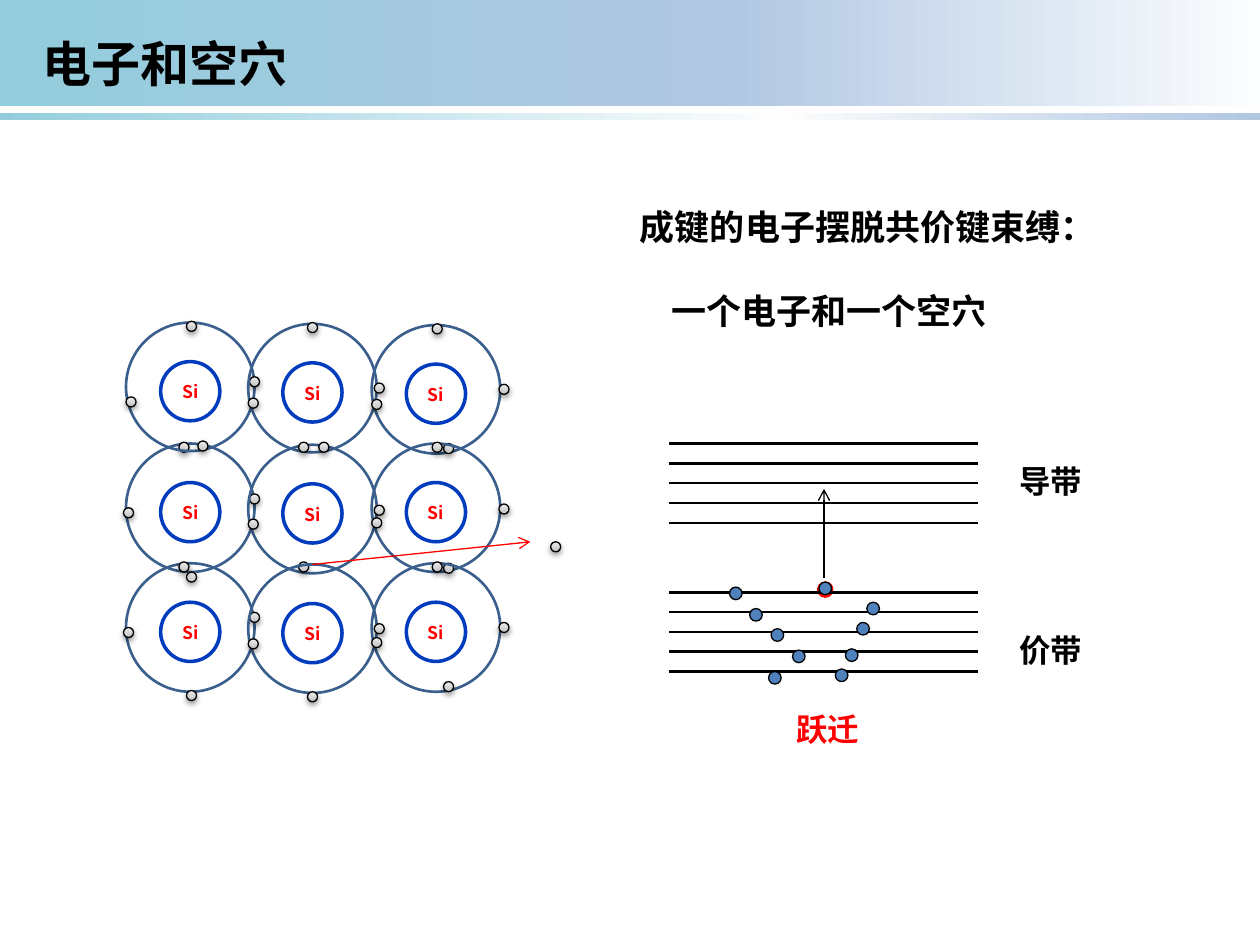
from lxml import etree
from pptx import Presentation
from pptx.dml.color import RGBColor
from pptx.enum.shapes import MSO_CONNECTOR, MSO_SHAPE
from pptx.enum.text import MSO_ANCHOR, PP_ALIGN
from pptx.oxml import parse_xml
from pptx.oxml.ns import qn
from pptx.util import Inches, Pt

RECT, OVAL, DOT = MSO_SHAPE.RECTANGLE, MSO_SHAPE.OVAL, MSO_SHAPE.FLOWCHART_CONNECTOR
STRAIGHT = MSO_CONNECTOR.STRAIGHT
LEFT, CENTER = PP_ALIGN.LEFT, PP_ALIGN.CENTER
TOP, MIDDLE = MSO_ANCHOR.TOP, MSO_ANCHOR.MIDDLE
NS = "http://schemas.openxmlformats.org/drawingml/2006/main"

THEME = {
    "font": "Noto Sans CJK SC", "leading": 1.27,
    "title": 28, "statement": 20, "label": 18, "atom": 10,
    "black": "000000", "white": "FFFFFF", "red": "FF0000",
    "orbit": "3A5F8C", "nucleus": "013CBF", "carrier": "4F81BD",
    "rule": [(0, "93CDDD"), (62, "FCFDFE"), (100, "B0C6E1")],
    "banner": [(0, "93CDDD"), (57, "B0C6E1"), (100, "FCFDFE")],
    "electron": [(0, "BDBDBD"), (35, "D1D1D1"), (100, "EEEEEE")],
}

TEXTS = [
    ((0.24, 0.19, 2.17, 0.57), ["电子和空穴"], "title", "black"),
    ((4.98, 1.56, 3.85, 1.11), ["成键的电子摆脱共价键束缚：", "一个电子和一个空穴"],
     "statement", "black"),
    ((7.99, 4.94, 0.71, 0.4), ["价带"], "label", "black"),
    ((7.99, 3.6, 0.71, 0.4), ["导带"], "label", "black"),
    ((6.22, 5.57, 0.71, 0.4), ["跃迁"], "label", "red"),
]

ATOM = "Si"
ORBIT_SIZE, NUCLEUS_SIZE, ELECTRON_SIZE = 1.02, 0.47, 0.08
NUCLEUS_DROP = 0.31
ATOMS = [
    ((1, 3.52), [(1.42, 3.51), (1.48, 4.54), (1.98, 3.92), (0.98, 4.03)]),
    ((1.97, 3.53), [(2.37, 4.46), (4.37, 4.3), (2.97, 4.01), (1.97, 4.12)]),
    ((1, 2.56), [(1.48, 2.55), (1.57, 3.5), (1.98, 2.99), (1, 3.15)]),
    ((1.97, 2.57), [(2.44, 2.56), (2.53, 3.51), (2.97, 3.04), (1.97, 3.16)]),
    ((2.95, 2.58), [(3.43, 2.57), (3.52, 3.52), (3.96, 3.05), (2.95, 3.17)]),
    ((2.95, 3.52), [(3.43, 3.51), (3.52, 4.47), (3.96, 4), (2.95, 4.11)]),
    ((1, 4.47), [(1.42, 4.46), (1.48, 5.48), (1.98, 4.86), (0.98, 4.98)]),
    ((1.97, 4.48), [(2.37, 3.51), (2.44, 5.49), (2.97, 4.95), (1.97, 5.07)]),
    ((2.95, 4.47), [(3.43, 4.46), (3.52, 5.41), (3.96, 4.94), (2.95, 5.06)]),
]

LEVEL_LEFT, LEVEL_RIGHT, LEVEL_COUNT = 5.31, 7.76, 5
BANDS = [(3.52, 4.15), (4.7, 5.33)]
CARRIER_SIZE = 0.1
HOLE = (6.5, 4.63)
CARRIERS = [(5.79, 4.66), (5.95, 4.83), (6.12, 4.99), (6.29, 5.16), (6.1, 5.33),
            (6.63, 5.31), (6.71, 5.15), (6.8, 4.94), (6.88, 4.78), (6.5, 4.62)]
ESCAPE = ((2.48, 4.48), (4.21, 4.3))
TRANSITION = ((6.54, 4.59), (6.54, 3.88))


def rgb(value):
    """Turn a hex string into a colour."""
    return RGBColor.from_string(value)


def add_figure(shapes, kind, box, fill=None, line=None, weight=0.75):
    """Add a preset shape without shadow."""
    figure = shapes.add_shape(kind, *map(Inches, box))
    figure.shadow.inherit = False
    if fill:
        figure.fill.solid()
        figure.fill.fore_color.rgb = rgb(fill)
    else:
        figure.fill.background()
    if line:
        figure.line.color.rgb = rgb(line)
        figure.line.width = Pt(weight)
    else:
        figure.line.fill.background()
    return figure


def set_gradient(figure, stops, angle=0):
    """Give a shape a linear gradient of any number of stops."""
    figure.fill.gradient()
    gradient = figure.element.spPr.find(qn("a:gradFill"))
    for part in list(gradient):
        gradient.remove(part)
    stop_list = etree.SubElement(gradient, qn("a:gsLst"))
    for position, color in stops:
        stop = etree.SubElement(stop_list, qn("a:gs"), pos=str(position * 1000))
        etree.SubElement(stop, qn("a:srgbClr"), val=color)
    etree.SubElement(gradient, qn("a:lin"), ang=str(angle * 60000), scaled="0")


def write(frame, lines, size, color, align=LEFT, anchor=TOP):
    """Write bold paragraphs, later ones set apart and indented."""
    frame.word_wrap = True
    frame.vertical_anchor = anchor
    for index, line in enumerate(lines):
        paragraph = frame.add_paragraph() if index else frame.paragraphs[0]
        paragraph.alignment = align
        paragraph.line_spacing = Pt(THEME[size] * THEME["leading"])
        if index:
            paragraph.space_before = Pt(22.5)
            paragraph._p.get_or_add_pPr().set("marL", str(Inches(0.25)))
        run = paragraph.add_run()
        run.text = line
        run.font.size = Pt(THEME[size])
        run.font.bold = True
        run.font.name = THEME["font"]
        run.font.color.rgb = rgb(THEME[color])
        etree.SubElement(run._r.get_or_add_rPr(), qn("a:ea"), typeface=THEME["font"])


def add_line(shapes, start, end, color, weight, arrow=False):
    """Add a straight line, with an open arrowhead if asked."""
    line = shapes.add_connector(STRAIGHT, *map(Inches, (*start, *end)))
    line.line.color.rgb = rgb(color)
    line.line.width = Pt(weight)
    if arrow:
        etree.SubElement(line.line._get_or_add_ln(), qn("a:tailEnd"), type="arrow")
    etree.SubElement(line._element.spPr, qn("a:effectLst"))


def add_electron(shapes, place):
    """Add a small grey electron with a soft shadow."""
    electron = add_figure(shapes, OVAL, (*place, ELECTRON_SIZE, ELECTRON_SIZE),
                          line=THEME["black"])
    set_gradient(electron, THEME["electron"], 270)
    electron.element.spPr.find(qn("a:effectLst")).append(parse_xml(
        f'<a:outerShdw xmlns:a="{NS}" blurRad="{Pt(3.1)}" dist="{Pt(1.6)}" '
        'dir="5400000" rotWithShape="0"><a:srgbClr val="000000">'
        '<a:alpha val="38000"/></a:srgbClr></a:outerShdw>'))


def add_atom(slide, corner, electrons):
    """Add one grouped atom: orbit, electrons and nucleus."""
    shapes = slide.shapes.add_group_shape().shapes
    left, top = corner
    add_figure(shapes, OVAL, (left, top, ORBIT_SIZE, ORBIT_SIZE),
               line=THEME["orbit"], weight=1.5)
    for place in electrons:
        add_electron(shapes, place)
    inset = (ORBIT_SIZE - NUCLEUS_SIZE) / 2
    nucleus = add_figure(
        shapes, OVAL, (left + inset, top + NUCLEUS_DROP, NUCLEUS_SIZE, NUCLEUS_SIZE),
        line=THEME["nucleus"], weight=2)
    frame = nucleus.text_frame
    frame.margin_left = frame.margin_right = frame.margin_top = frame.margin_bottom = 0
    write(frame, [ATOM], "atom", "red", CENTER, MIDDLE)


def add_bands(shapes):
    """Add the energy levels, the hole, the carriers and the transition."""
    size = (CARRIER_SIZE, CARRIER_SIZE)
    add_figure(shapes, DOT, (*HOLE, *size), THEME["white"], THEME["red"], 2.25)
    for top, bottom in BANDS:
        for level in range(LEVEL_COUNT):
            y = top + level * (bottom - top) / (LEVEL_COUNT - 1)
            add_line(shapes, (LEVEL_LEFT, y), (LEVEL_RIGHT, y), THEME["black"], 1.5)
    for place in CARRIERS:
        add_figure(shapes, DOT, (*place, *size), THEME["carrier"], THEME["black"])
    add_line(shapes, *TRANSITION, THEME["black"], 0.75, arrow=True)


def main():
    """Build the slide on electrons and holes."""
    deck = Presentation()
    deck.slide_width, deck.slide_height = Inches(10), Inches(7.5)
    slide = deck.slides.add_slide(deck.slide_layouts[6])
    set_gradient(add_figure(slide.shapes, RECT, (-0.02, 0.9, 10.02, 0.05)), THEME["rule"])
    set_gradient(add_figure(slide.shapes, RECT, (0, -0.02, 10, 0.86)), THEME["banner"])
    for corner, electrons in ATOMS:
        add_atom(slide, corner, electrons)
    add_line(slide.shapes, *ESCAPE, THEME["red"], 0.75, arrow=True)
    add_bands(slide.shapes)
    for box, lines, size, color in TEXTS:
        write(slide.shapes.add_textbox(*map(Inches, box)).text_frame, lines, size, color)
    deck.save("out.pptx")


if __name__ == "__main__":
    main()
